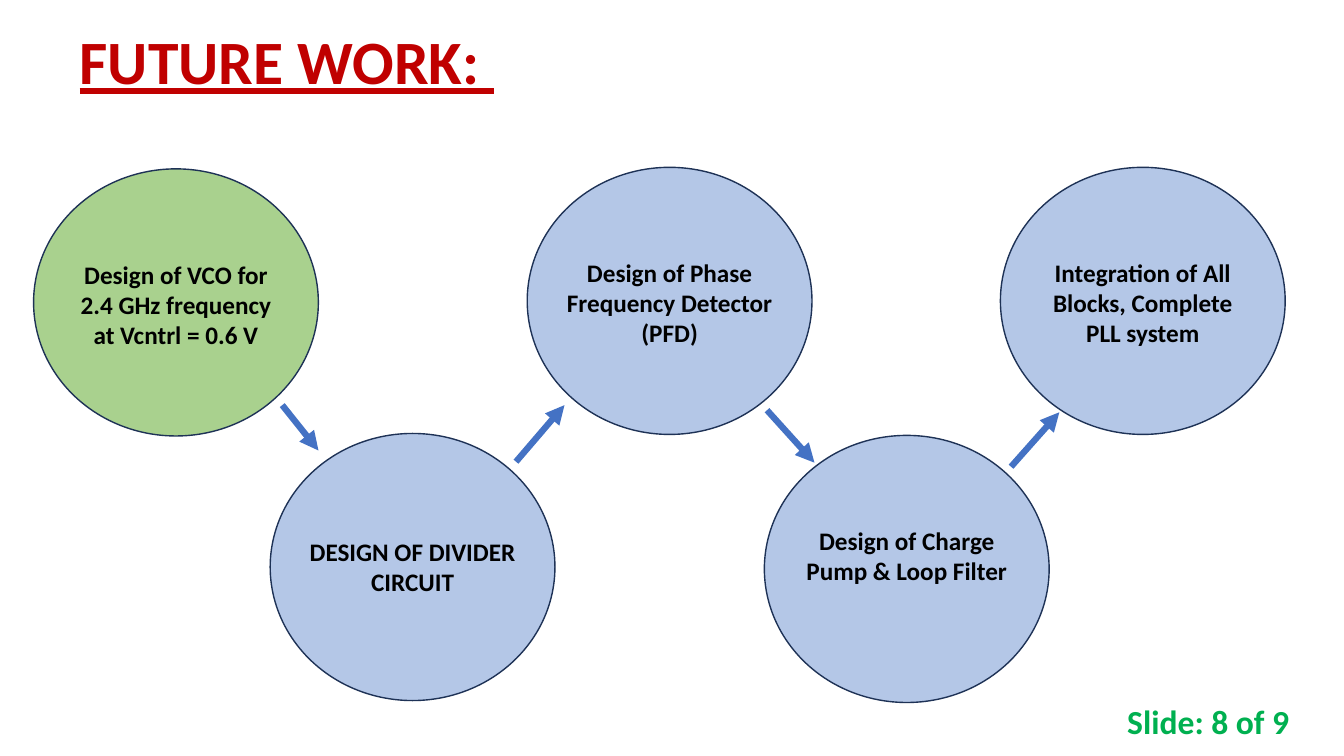
from lxml import etree
from pptx import Presentation
from pptx.dml.color import RGBColor
from pptx.enum.shapes import MSO_CONNECTOR, MSO_SHAPE
from pptx.enum.text import MSO_ANCHOR, PP_ALIGN
from pptx.oxml.ns import qn
from pptx.util import Pt

COLORS = {"title": "C00000", "page": "00B050", "arrow": "4472C4",
          "done": "A9D18E", "todo": "B4C7E7", "outline": "1E3256", "text": "000000"}


def rgb(name):
    return RGBColor.from_string(COLORS[name])


def write(shape, text, size, color, align, anchor):
    tf = shape.text_frame
    tf.word_wrap = True
    tf.vertical_anchor = anchor
    tf.text = text
    for p in tf.paragraphs:
        p.alignment = align
        for r in p.runs:
            r.font.name = "Calibri"
            r.font.size = Pt(size)
            r.font.bold = True
            r.font.color.rgb = rgb(color)


prs = Presentation()
prs.slide_width, prs.slide_height = Pt(960), Pt(540)
s = prs.slides.add_slide(prs.slide_layouts[5])

title = s.shapes.title
title.left, title.top, title.width, title.height = Pt(49.7), Pt(9.4), Pt(828), Pt(73.4)
write(title, "FUTURE WORK: ", 44, "title", PP_ALIGN.LEFT, MSO_ANCHOR.MIDDLE)
title.text_frame.paragraphs[0].line_spacing = 0.9
title.text_frame.paragraphs[0].runs[0].font.underline = True

page = s.shapes.add_textbox(Pt(690.5), Pt(500.4), Pt(237.6), Pt(28.8))
write(page, "Slide: 8 of 9", 24, "page", PP_ALIGN.RIGHT, MSO_ANCHOR.MIDDLE)

arrows = [
    (201.6, 289.4, 227.5, 321.8),
    (368.6, 329.8, 403.2, 289.4),
    (547.9, 293, 581.8, 330.5),
    (722.2, 333.4, 756.7, 294.5),
]
for ends in arrows:
    arrow = s.shapes.add_connector(MSO_CONNECTOR.STRAIGHT, *[Pt(v) for v in ends])
    arrow.line.color.rgb = rgb("arrow")
    arrow.line.width = Pt(4.5)
    etree.SubElement(arrow.line._get_or_add_ln(), qn("a:tailEnd"), type="triangle")
    etree.SubElement(arrow._element.spPr, qn("a:effectLst"))

steps = [
    (24, 120.6, 181.4, 73, "done", "Design of VCO for 2.4 GHz frequency at Vcntrl = 0.6 V"),
    (193, 309.6, 379.4, 51, "todo", "DESIGN OF DIVIDER\nCIRCUIT"),
    (376.6, 119.5, 180, 73, "todo", "Design of Phase Frequency Detector\n(PFD)"),
    (546, 311, 371.5, 51, "todo", "Design of Charge Pump & Loop Filter"),
    (714.6, 119.5, 180, 73, "todo", "Integration of All Blocks, Complete PLL system"),
]
for left, top, text_top, text_height, fill, text in steps:
    group = s.shapes.add_group_shape()
    circle = group.shapes.add_shape(MSO_SHAPE.OVAL, Pt(left), Pt(top), Pt(203.4), Pt(190.8))
    circle.shadow.inherit = False
    circle.fill.solid()
    circle.fill.fore_color.rgb = rgb(fill)
    circle.line.color.rgb = rgb("outline")
    circle.line.width = Pt(1)
    label = group.shapes.add_textbox(Pt(left + 17.8), Pt(text_top), Pt(167.8), Pt(text_height))
    write(label, text, 18, "text", PP_ALIGN.CENTER, MSO_ANCHOR.TOP)

prs.save("out.pptx")
